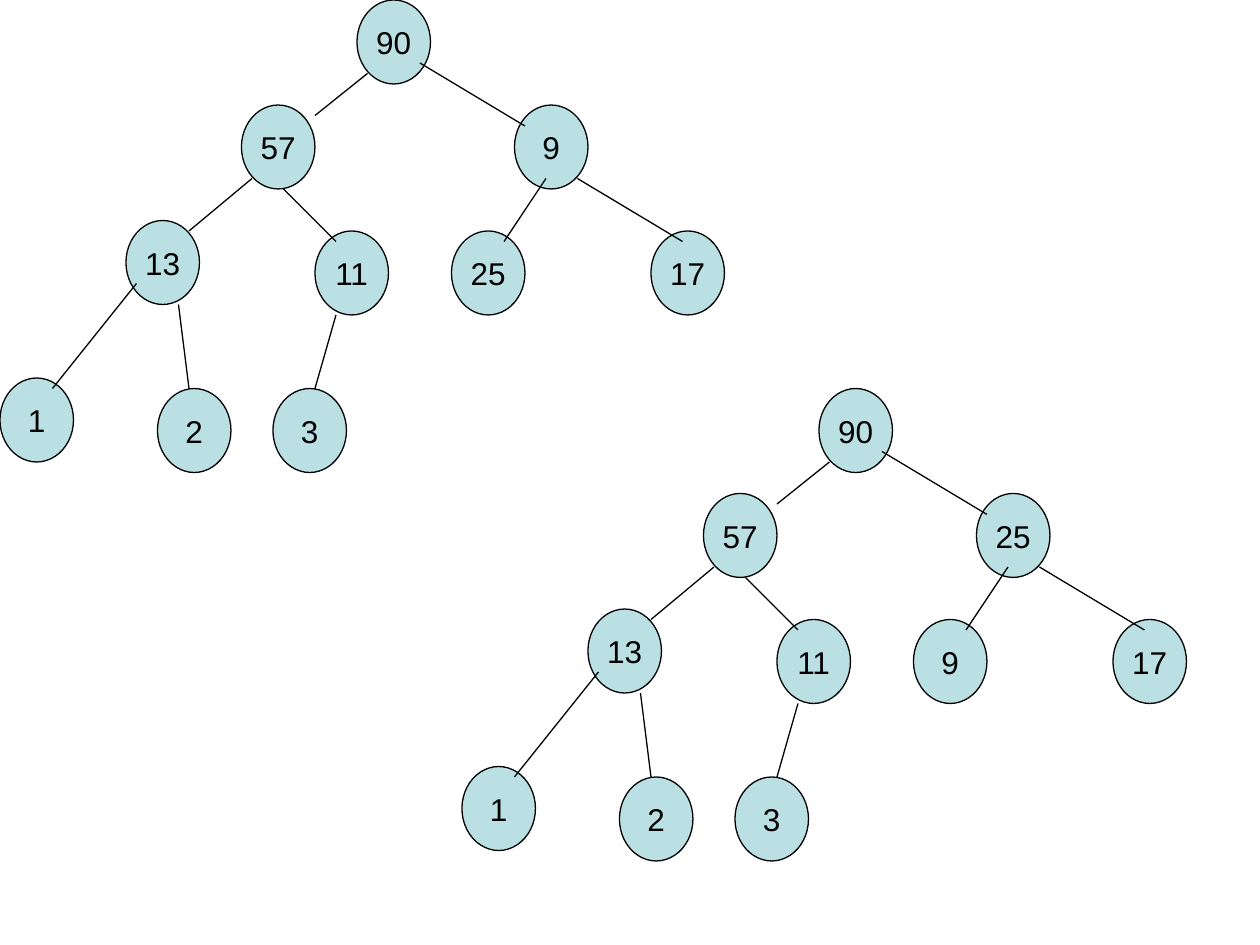
from typing import NamedTuple

from lxml import etree
from pptx import Presentation
from pptx.dml.color import RGBColor
from pptx.enum.shapes import MSO_CONNECTOR, MSO_SHAPE
from pptx.enum.text import MSO_ANCHOR, PP_ALIGN
from pptx.oxml.ns import qn
from pptx.util import Cm, Pt

OVAL = MSO_SHAPE.OVAL
STRAIGHT = MSO_CONNECTOR.STRAIGHT
MIDDLE = MSO_ANCHOR.MIDDLE
CENTER = PP_ALIGN.CENTER

COLORS = {"node": "BBE0E3", "ink": "000000"}
FRAME_FORMAT = {
    "word_wrap": False,
    "vertical_anchor": MIDDLE,
    "margin_left": Cm(0.25),
    "margin_right": Cm(0.25),
    "margin_top": Cm(0.13),
    "margin_bottom": Cm(0.13),
}
FONT_FORMAT = {"name": "Arial", "size": Pt(18)}
GRID_PER_INCH = 12
NODE_WIDTH, NODE_HEIGHT = 7, 8


class Point(NamedTuple):
    x: int
    y: int


class Edge(NamedTuple):
    start: Point
    end: Point


class Tree(NamedTuple):
    origin: Point
    labels: list[str]


NODES = [
    Point(34, 0),
    Point(23, 10), Point(49, 10),
    Point(12, 21), Point(30, 22), Point(43, 22), Point(62, 22),
    Point(0, 36), Point(15, 37), Point(26, 37),
]
EDGES = [
    Edge(Point(35, 7), Point(30, 11)),
    Edge(Point(40, 6), Point(50, 12)),
    Edge(Point(24, 17), Point(18, 22)),
    Edge(Point(27, 18), Point(32, 23)),
    Edge(Point(13, 27), Point(5, 37)),
    Edge(Point(17, 29), Point(18, 37)),
    Edge(Point(52, 17), Point(48, 23)),
    Edge(Point(55, 17), Point(65, 23)),
    Edge(Point(32, 30), Point(30, 37)),
]
TREES = [
    Tree(Point(0, 0), ["90", "57", "9", "13", "11", "25", "17", "1", "2", "3"]),
    Tree(Point(44, 37), ["90", "57", "25", "13", "11", "9", "17", "1", "2", "3"]),
]


def grid(steps: int) -> Cm:
    """Turn grid steps into a length."""
    return Cm(steps * 2.54 / GRID_PER_INCH)


def color(name: str) -> RGBColor:
    """Look up a named colour."""
    return RGBColor.from_string(COLORS[name])


def apply_format(target: object, values: dict) -> None:
    """Set every attribute in values on the target."""
    for name, value in values.items():
        setattr(target, name, value)


def style_line(line) -> None:
    """Give an outline or edge its colour and width."""
    line.color.rgb = color("ink")
    line.width = Pt(0.75)


def add_node(s, origin: Point, at: Point, label: str) -> None:
    """Draw one labelled tree node."""
    sp = s.shapes.add_shape(
        OVAL, grid(origin.x + at.x), grid(origin.y + at.y),
        grid(NODE_WIDTH), grid(NODE_HEIGHT),
    )
    sp.shadow.inherit = False
    sp.fill.solid()
    sp.fill.fore_color.rgb = color("node")
    style_line(sp.line)
    tf = sp.text_frame
    apply_format(tf, FRAME_FORMAT)
    p = tf.paragraphs[0]
    p.alignment = CENTER
    r = p.add_run()
    r.text = label
    apply_format(r.font, FONT_FORMAT)
    r.font.color.rgb = color("ink")


def add_edge(s, origin: Point, edge: Edge) -> None:
    """Draw one line between a parent and a child."""
    ends = [
        grid(base + step)
        for point in edge
        for base, step in zip(origin, point)
    ]
    cxn = s.shapes.add_connector(STRAIGHT, *ends)
    style_line(cxn.line)
    etree.SubElement(cxn._element.spPr, qn("a:effectLst"))


def add_tree(s, tree: Tree) -> None:
    """Draw a whole heap tree."""
    for at, label in zip(NODES, tree.labels):
        add_node(s, tree.origin, at, label)
    for edge in EDGES:
        add_edge(s, tree.origin, edge)


def main() -> None:
    """Build the slide and save it."""
    prs = Presentation()
    prs.slide_width, prs.slide_height = Cm(25.4), Cm(19.05)
    s = prs.slides.add_slide(prs.slide_layouts[6])
    for tree in TREES:
        add_tree(s, tree)
    prs.save("out.pptx")


if __name__ == "__main__":
    main()
